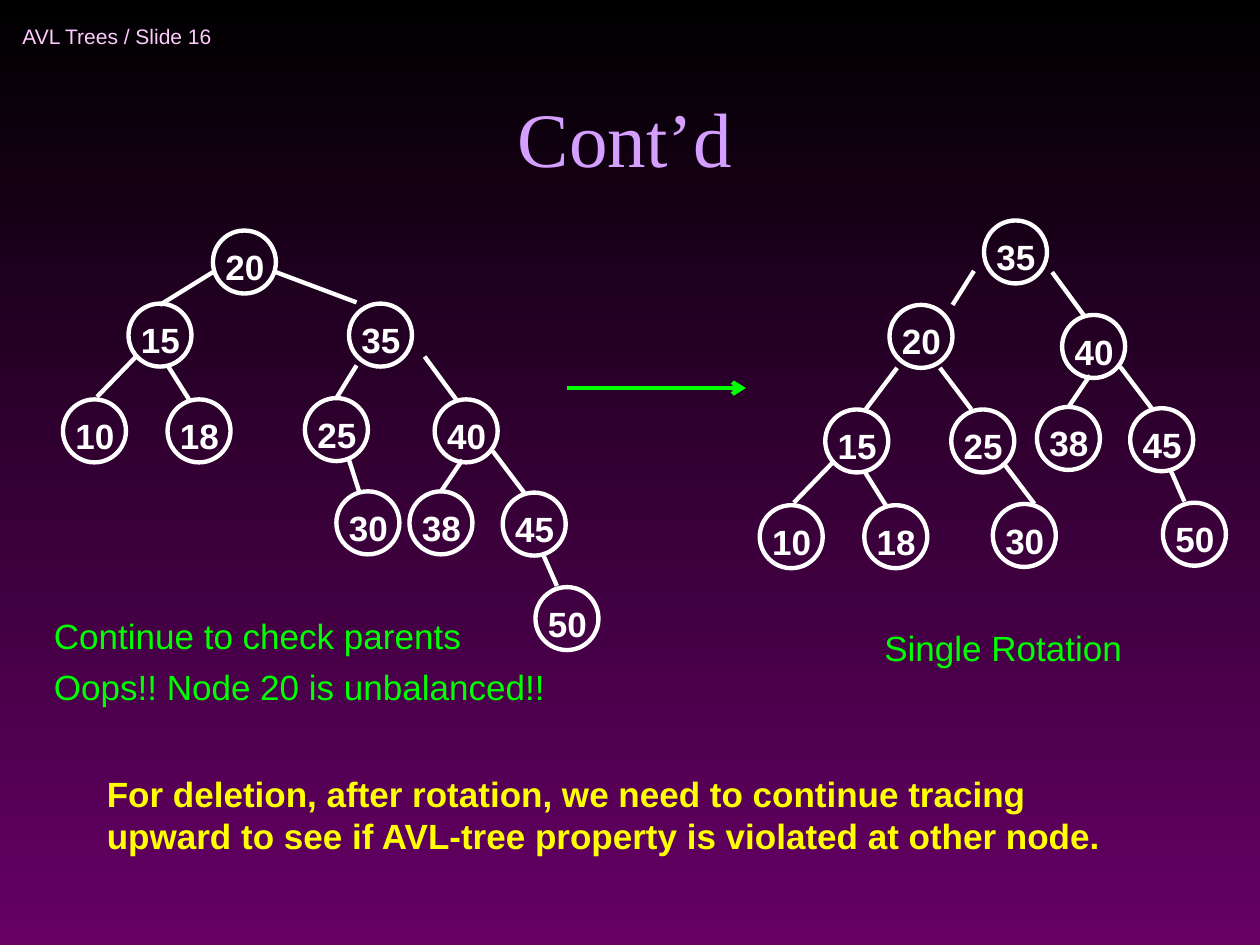
from lxml.etree import SubElement
from pptx import Presentation
from pptx.dml.color import RGBColor
from pptx.enum.shapes import MSO_CONNECTOR as Connector, MSO_SHAPE as Shape
from pptx.enum.text import MSO_ANCHOR as Anchor, MSO_AUTO_SIZE as AutoSize, PP_ALIGN as Align
from pptx.oxml.ns import qn
from pptx.util import Inches, Pt

SLIDE_WIDTH, SLIDE_HEIGHT = Inches(10), Inches(7.5)
COLUMN, ROW = SLIDE_WIDTH / 10, SLIDE_HEIGHT / 7.5
NODE_SIZE, LABEL_WIDTH, LABEL_HEIGHT, LABEL_DROP = 0.5, 0.51, 0.44, 0.07
WHITE, GREEN, YELLOW = "FFFFFF", "00FF00", "FFFF00"
HEADER, TITLE = "FFCCFF", "D49FFF"

BODY_FONT = {"name": "Arial", "size": Pt(20), "bold": False}
BOLD_FONT = {**BODY_FONT, "bold": True}
HEADER_FONT = {**BODY_FONT, "size": Pt(12)}
TITLE_FONT = {"name": "Times New Roman", "size": Pt(44), "bold": False}

SUBTREE_15 = {
    "nodes": {15: (0, 0), 10: (-0.52, 0.76), 18: (0.31, 0.76)},
    "edges": [(0.06, 0.42, -0.25, 0.74), (0.31, 0.49, 0.48, 0.76)],
}
SUBTREE_40 = {
    "nodes": {40: (0, 0), 38: (-0.2, 0.73), 45: (0.54, 0.74), 50: (0.8, 1.49)},
    "edges": [(-0.08, -0.34, 0.17, 0), (0.22, 0.48, 0.05, 0.73),
              (0.46, 0.41, 0.71, 0.74), (0.86, 1.23, 0.97, 1.48)],
}
UNBALANCED_TOP = {
    "nodes": {20: (1.69, 1.83), 35: (2.77, 2.41), 25: (2.42, 3.16), 30: (2.67, 3.9)},
    "edges": [(1.69, 2.16, 1.27, 2.42), (2.19, 2.16, 2.83, 2.4),
              (2.83, 2.9, 2.67, 3.16), (2.77, 3.65, 2.85, 3.9)],
}
ROTATED_TOP = {
    "nodes": {35: (7.81, 1.75), 20: (7.06, 2.42), 25: (7.55, 3.25), 30: (7.88, 4)},
    "edges": [(7.73, 2.15, 7.56, 2.42), (7.12, 2.92, 6.87, 3.25),
              (7.46, 2.92, 7.71, 3.25), (7.96, 3.67, 8.21, 4)],
}


def color(value):
    """Turn a hex string into a colour."""
    return RGBColor.from_string(value)


def place(left, top, width, height):
    """Turn grid columns and rows into a slide rectangle."""
    return [round(length) for length in (left * COLUMN, top * ROW, width * COLUMN, height * ROW)]


def apply_format(target, values):
    """Set each named attribute on the target."""
    for name, value in values.items():
        setattr(target, name, value)


def write(frame, lines, font, hue, **paragraph_format):
    """Fill a text frame with one formatted paragraph per line."""
    frame.text = "\n".join(lines)
    for paragraph in frame.paragraphs:
        apply_format(paragraph, paragraph_format)
        apply_format(paragraph.font, font)
        paragraph.font.color.rgb = color(hue)


def add_text(slide, area, lines, font, hue, wrap=False, anchor=Anchor.TOP, space=5):
    """Add a text box that grows with its text."""
    frame = slide.shapes.add_textbox(*place(*area)).text_frame
    apply_format(frame, {"word_wrap": wrap, "vertical_anchor": anchor,
                         "auto_size": AutoSize.SHAPE_TO_FIT_TEXT})
    write(frame, lines, font, hue, space_before=Pt(space))


def add_line(slide, ends, hue=WHITE, arrow=False):
    """Add a straight line, with an arrowhead at its end if asked."""
    connector = slide.shapes.add_connector(Connector.STRAIGHT, *place(*ends))
    connector.line.color.rgb = color(hue)
    connector.line.width = Pt(2.5)
    if arrow:
        SubElement(connector.line._get_or_add_ln(), qn("a:tailEnd"), type="arrow")
    SubElement(connector._element.spPr, qn("a:effectLst"))


def add_node(slide, value, left, top):
    """Add a circle and its number."""
    circle = slide.shapes.add_shape(Shape.OVAL, *place(left, top, NODE_SIZE, NODE_SIZE))
    circle.shadow.inherit = False
    circle.fill.background()
    circle.line.color.rgb = color(WHITE)
    circle.line.width = Pt(2.5)
    label_area = (left, top + LABEL_DROP, LABEL_WIDTH, LABEL_HEIGHT)
    add_text(slide, label_area, [str(value)], BOLD_FONT, WHITE)


def add_tree(slide, tree, left=0, top=0):
    """Draw the edges and nodes of a tree from a given corner."""
    for x1, y1, x2, y2 in tree["edges"]:
        add_line(slide, (left + x1, top + y1, left + x2, top + y2))
    for value, (x, y) in tree["nodes"].items():
        add_node(slide, value, left + x, top + y)


def set_background(slide, hues):
    """Fill the background with a gradient from top to bottom."""
    fill = slide.background.fill
    fill.gradient()
    fill.gradient_angle = 270
    for stop, hue in zip(fill.gradient_stops, hues):
        stop.color.rgb = color(hue)


def set_title(slide, area, text):
    """Place and format the title placeholder."""
    title = slide.shapes.title
    apply_format(title, dict(zip(("left", "top", "width", "height"), place(*area))))
    title.text_frame.vertical_anchor = Anchor.BOTTOM
    write(title.text_frame, [text], TITLE_FONT, TITLE, alignment=Align.CENTER)


def main():
    """Build and save the slide."""
    presentation = Presentation()
    apply_format(presentation, {"slide_width": SLIDE_WIDTH, "slide_height": SLIDE_HEIGHT})
    slide = presentation.slides.add_slide(presentation.slide_layouts[5])
    set_background(slide, ("000000", "660066"))
    add_text(slide, (0.08, 0.08, 2.75, 0.42), ["AVL Trees / Slide 16"], HEADER_FONT, HEADER,
             wrap=True, anchor=Anchor.MIDDLE, space=0)
    set_title(slide, (0.67, 0.25, 8.58, 1.25), "Cont’d")

    add_tree(slide, UNBALANCED_TOP)
    add_tree(slide, SUBTREE_15, 1.02, 2.41)
    add_tree(slide, SUBTREE_40, 3.45, 3.17)
    add_line(slide, (4.5, 3.08, 5.92, 3.08), GREEN, arrow=True)
    add_tree(slide, ROTATED_TOP)
    add_tree(slide, SUBTREE_15, 6.55, 3.25)
    add_tree(slide, SUBTREE_40, 8.43, 2.5)

    add_text(slide, (0.33, 4.83, 4.1, 1.24),
             ["Continue to check parents", "Oops!! Node 20 is unbalanced!!"], BODY_FONT, GREEN)
    add_text(slide, (6.92, 4.92, 2.09, 0.84), ["Single Rotation"], BODY_FONT, GREEN)
    add_text(slide, (0.75, 6.08, 8.43, 0.77),
             ["For deletion, after rotation, we need to continue tracing upward to see "
              "if AVL-tree property is violated at other node."], BOLD_FONT, YELLOW, wrap=True)
    presentation.save("out.pptx")


if __name__ == "__main__":
    main()
